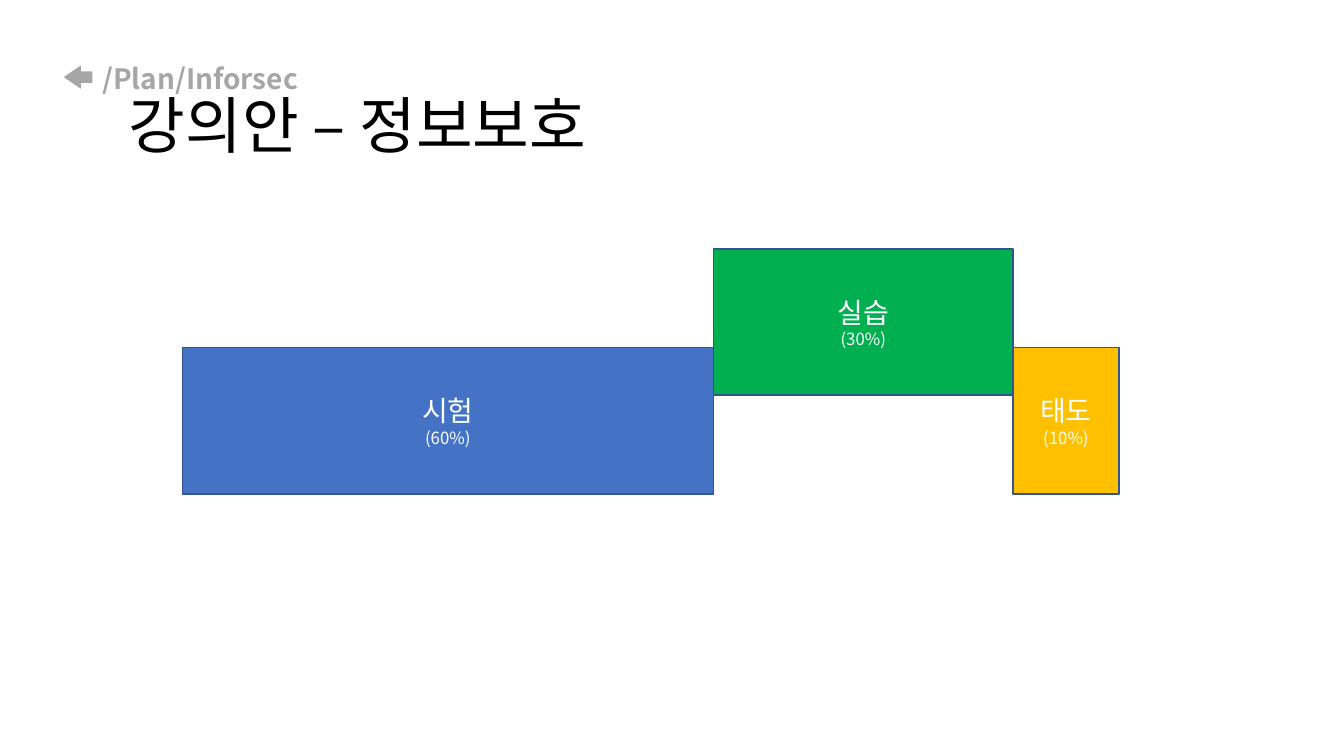
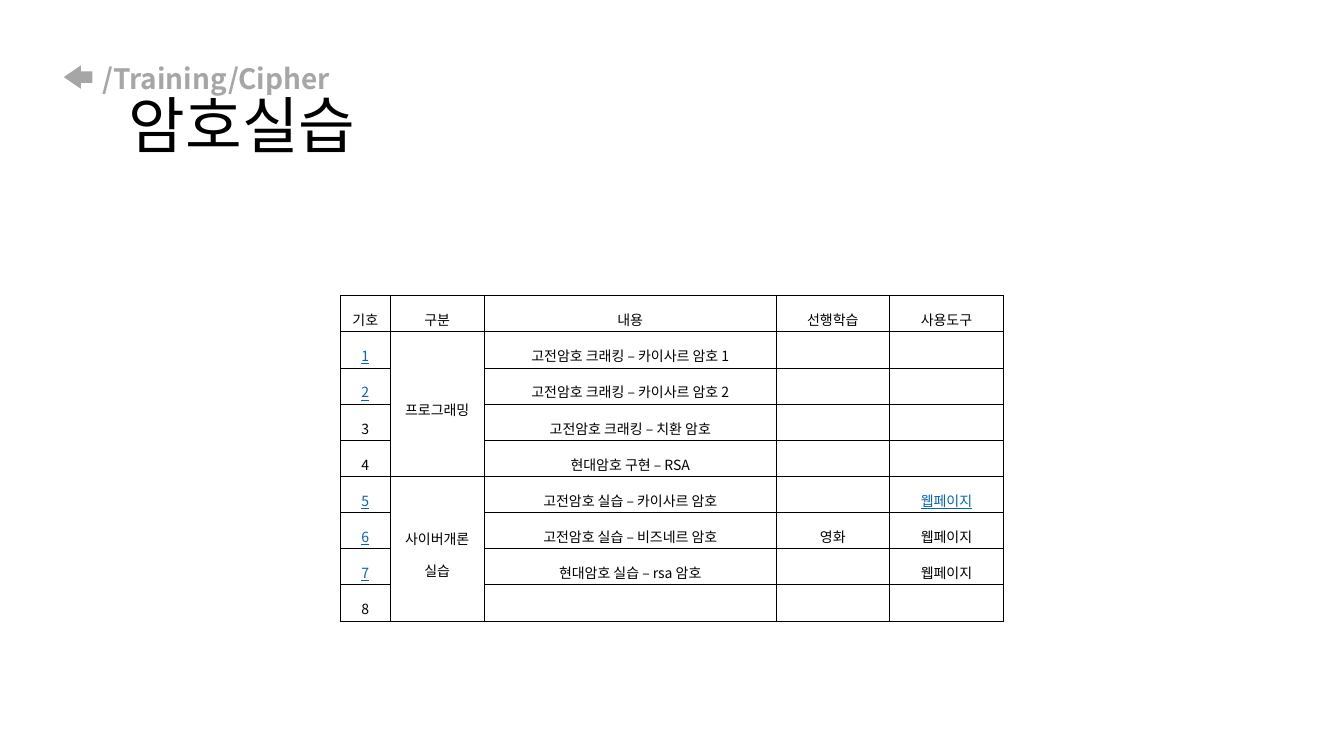
from lxml import etree
from pptx import Presentation
from pptx.dml.color import RGBColor
from pptx.enum.shapes import MSO_SHAPE
from pptx.enum.text import MSO_ANCHOR, PP_ALIGN
from pptx.oxml.ns import qn
from pptx.util import Pt

RECTANGLE, LEFT_ARROW = MSO_SHAPE.RECTANGLE, MSO_SHAPE.LEFT_ARROW
MIDDLE, CENTER = MSO_ANCHOR.MIDDLE, PP_ALIGN.CENTER
FONT = "Noto Sans CJK KR"
COLORS = {
    "muted": "A6A6A6", "text": "000000", "white": "FFFFFF", "link": "0563C1",
    "exam": "4472C4", "practice": "00B050", "attitude": "FFC000", "outline": "325491",
}

# Content
PLAN_HEADING = ("/Plan/Inforsec", "강의안 – 정보보호")
CIPHER_HEADING = ("/Training/Cipher", "암호실습")

# label, share, colour, width, top
GRADE_BARS = [
    ("시험", "(60%)", "exam", 379.4, 248.4),
    ("실습", "(30%)", "practice", 214, 177.8),
    ("태도", "(10%)", "attitude", 75.6, 248.4),
]
BARS_LEFT, BAR_HEIGHT = 130.2, 104.4

LESSONS = [
    ("기호", "구분", "내용", "선행학습", "사용도구"),
    ("1", "프로그래밍", "고전암호 크래킹 – 카이사르 암호 1", "", ""),
    ("2", "", "고전암호 크래킹 – 카이사르 암호 2", "", ""),
    ("3", "", "고전암호 크래킹 – 치환 암호", "", ""),
    ("4", "", "현대암호 구현 – RSA", "", ""),
    ("5", "사이버개론\n실습", "고전암호 실습 – 카이사르 암호", "", "웹페이지"),
    ("6", "", "고전암호 실습 – 비즈네르 암호", "영화", "웹페이지"),
    ("7", "", "현대암호 실습 – rsa 암호", "", "웹페이지"),
    ("8", "", "", "", ""),
]
LINK_CELLS = {(1, 0), (2, 0), (5, 0), (6, 0), (7, 0), (5, 4)}
CATEGORY_ROWS = [(1, 4), (5, 8)]
COLUMN_WIDTHS = [35.4, 67.4, 208.4, 81, 81.4]
ROW_HEIGHT, CELL_SIZE = 25.85, 10


def rgb(name):
    return RGBColor.from_string(COLORS[name])


def add_run(paragraph, text, size, color, bold=False, underline=False):
    run = paragraph.add_run()
    run.text = text
    font = run.font
    font.size, font.name, font.bold, font.underline = Pt(size), FONT, bold, underline
    font.color.rgb = rgb(color)
    etree.SubElement(font._element, qn("a:ea"), typeface=FONT)


def add_box(slide, preset, left, top, width, height, fill, line=None):
    shape = slide.shapes.add_shape(preset, Pt(left), Pt(top), Pt(width), Pt(height))
    shape.shadow.inherit = False
    shape.fill.solid()
    shape.fill.fore_color.rgb = rgb(fill)
    if line:
        shape.line.color.rgb = rgb(line)
        shape.line.width = Pt(1)
    else:
        shape.line.fill.background()
    return shape


def add_slide(presentation, heading):
    """Blank slide with the shared breadcrumb, title and back arrow."""
    slide = presentation.slides.add_slide(presentation.slide_layouts[6])
    breadcrumb, title = heading
    frame = slide.shapes.add_textbox(Pt(66), Pt(28.8), Pt(828), Pt(104.4)).text_frame
    frame.word_wrap = True
    frame.vertical_anchor = MIDDLE
    first, second = frame.paragraphs[0], frame.add_paragraph()
    first.line_spacing = second.line_spacing = 0.9
    second._p.get_or_add_pPr().set("marL", str(Pt(19)))
    add_run(first, breadcrumb, 20, "muted", bold=True)
    add_run(second, title, 44, "text")
    arrow = add_box(slide, LEFT_ARROW, 45.6, 46.8, 20.4, 16.6, "muted")
    arrow.adjustments[0], arrow.adjustments[1] = 0.5, 0.73
    return slide


def add_grade_bars(slide):
    left = BARS_LEFT
    for label, share, color, width, top in GRADE_BARS:
        bar = add_box(slide, RECTANGLE, left, top, width, BAR_HEIGHT, color, "outline")
        frame = bar.text_frame
        frame.word_wrap = True
        frame.vertical_anchor = MIDDLE
        lines = [(frame.paragraphs[0], label, 20), (frame.add_paragraph(), share, 12)]
        for paragraph, text, size in lines:
            paragraph.alignment = CENTER
            add_run(paragraph, text, size, "white")
        left += width


def style_cell(cell):
    cell.vertical_anchor = MIDDLE
    cell.margin_left = cell.margin_right = Pt(5.1)
    cell.margin_top = cell.margin_bottom = Pt(1.4)
    properties = cell._tc.get_or_add_tcPr()
    for side in ("lnL", "lnR", "lnT", "lnB"):
        border = etree.SubElement(properties, qn(f"a:{side}"), w=str(Pt(0.28)))
        fill = etree.SubElement(border, qn("a:solidFill"))
        etree.SubElement(fill, qn("a:srgbClr"), val=COLORS["text"])
    cell.fill.background()


def fill_cell(cell, text, linked):
    frame = cell.text_frame
    for index, line in enumerate(text.split("\n")):
        paragraph = frame.add_paragraph() if index else frame.paragraphs[0]
        paragraph.alignment = CENTER
        if line:
            paragraph.line_spacing = 1.6
            add_run(paragraph, line, CELL_SIZE, "link" if linked else "text", underline=linked)
        else:
            # Keeps an empty cell from stretching its row
            etree.SubElement(paragraph._p, qn("a:endParaRPr"), sz=str(CELL_SIZE * 100))


def add_lesson_table(slide):
    table = slide.shapes.add_table(
        len(LESSONS), len(COLUMN_WIDTHS), Pt(243.2), Pt(211),
        Pt(sum(COLUMN_WIDTHS)), Pt(ROW_HEIGHT * len(LESSONS))).table
    table.first_row = table.horz_banding = False
    for column, width in zip(table.columns, COLUMN_WIDTHS):
        column.width = Pt(width)
    for row_index, lesson in enumerate(LESSONS):
        table.rows[row_index].height = Pt(ROW_HEIGHT)
        for column_index, text in enumerate(lesson):
            cell = table.cell(row_index, column_index)
            style_cell(cell)
            fill_cell(cell, text, (row_index, column_index) in LINK_CELLS)
    for first, last in CATEGORY_ROWS:
        table.cell(first, 1).merge(table.cell(last, 1))


def main():
    presentation = Presentation()
    presentation.slide_width, presentation.slide_height = Pt(960), Pt(540)
    add_grade_bars(add_slide(presentation, PLAN_HEADING))
    add_lesson_table(add_slide(presentation, CIPHER_HEADING))
    presentation.save("out.pptx")


if __name__ == "__main__":
    main()
